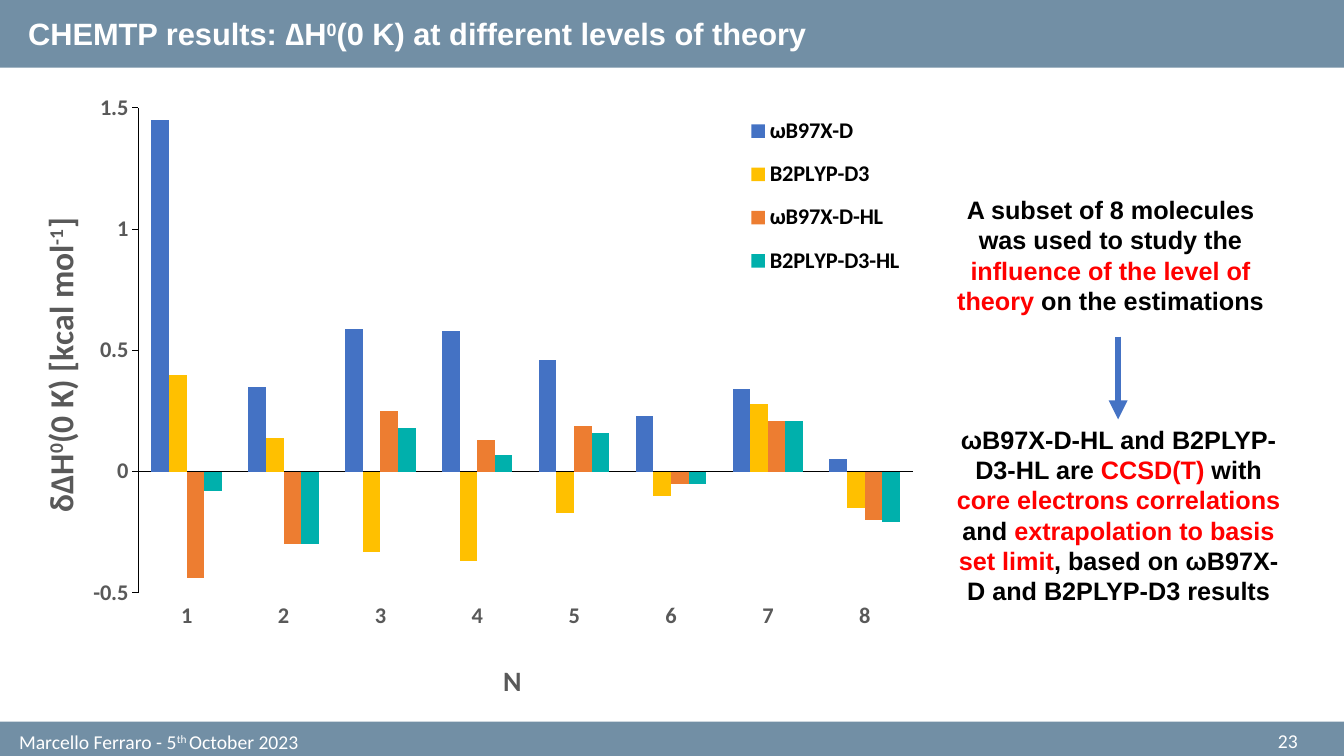
"""Builds the slide on CHEMTP enthalpies at different levels of theory."""
from dataclasses import dataclass

from lxml.etree import SubElement
from pptx import Presentation
from pptx.chart.axis import CategoryAxis, ValueAxis
from pptx.chart.data import CategoryChartData
from pptx.dml.color import RGBColor
from pptx.enum.chart import XL_CHART_TYPE, XL_LEGEND_POSITION, XL_TICK_LABEL_POSITION, XL_TICK_MARK
from pptx.enum.shapes import MSO_CONNECTOR, MSO_SHAPE
from pptx.enum.text import MSO_ANCHOR, MSO_AUTO_SIZE, PP_ALIGN
from pptx.oxml import parse_xml
from pptx.oxml.ns import nsdecls, qn
from pptx.slide import Slide
from pptx.text.text import Font, TextFrame
from pptx.util import Inches, Pt

COLORS = {
    "band": "728FA5", "white": "FFFFFF", "black": "000000", "red": "FF0000",
    "gray": "595959", "blue": "4472C4", "yellow": "FFC000", "orange": "ED7D31", "teal": "00B0AC",
}


@dataclass(frozen=True)
class Piece:
    """A stretch of text with its colour and baseline."""
    text: str
    color: str = "black"
    superscript: bool = False


@dataclass(frozen=True)
class Style:
    """The look shared by the pieces of one text."""
    size: float
    font: str = "Arial"
    bold: bool = True
    align: PP_ALIGN = PP_ALIGN.LEFT
    anchor: MSO_ANCHOR = MSO_ANCHOR.TOP


@dataclass(frozen=True)
class Label:
    """A text box with its place in inches."""
    box: tuple[float, float, float, float]
    style: Style
    pieces: tuple[Piece, ...]


@dataclass(frozen=True)
class Level:
    """A level of theory and its deviations for the molecules."""
    name: str
    color: str
    deviations: tuple[float, ...]


FOOTER = Style(14, "Calibri", False, anchor=MSO_ANCHOR.MIDDLE)
PAGE = Style(14, "Calibri", False, PP_ALIGN.RIGHT, MSO_ANCHOR.MIDDLE)
NOTE = Style(18, align=PP_ALIGN.CENTER)
BANDS = ((0, 7.16, 13.33, 0.35), (0, -0.01, 13.33, 0.68))
HEADING = Label((0.18, 0.1, 13.04, 0.48), Style(22), (
    Piece("CHEMTP results: ∆H", "white"),
    Piece("0", "white", True),
    Piece("(0 K) at different levels of theory", "white"),
))
LABELS = (
    Label((8.97, 7.15, 4, 0.4), PAGE, (Piece("23", "white"),)),
    Label((0.09, 7.15, 4.11, 0.42), FOOTER, (
        Piece("Marcello Ferraro - 5", "white"),
        Piece("th ", "white", True),
        Piece("October 2023", "white"),
    )),
    Label((9.25, 1.88, 3.53, 1.31), NOTE, (
        Piece("A subset of 8 molecules was used to study the "),
        Piece("influence of the level of theory ", "red"),
        Piece("on the estimations"),
    )),
    Label((9.33, 4.16, 3.53, 1.92), NOTE, (
        Piece("ωB97X-D-HL and B2PLYP-D3-HL are "),
        Piece("CCSD(T)", "red"),
        Piece(" with "),
        Piece("core electrons correlations ", "red"),
        Piece("and "),
        Piece("extrapolation to basis set limit", "red"),
        Piece(", based on ωB97X-D and B2PLYP-D3 results"),
    )),
)
LEVELS = (
    Level("ωB97X-D", "blue", (1.45, 0.35, 0.59, 0.58, 0.46, 0.23, 0.34, 0.05)),
    Level("B2PLYP-D3", "yellow", (0.4, 0.14, -0.33, -0.37, -0.17, -0.1, 0.28, -0.15)),
    Level("ωB97X-D-HL", "orange", (-0.44, -0.3, 0.25, 0.13, 0.19, -0.05, 0.21, -0.2)),
    Level("B2PLYP-D3-HL", "teal", (-0.08, -0.3, 0.18, 0.07, 0.16, -0.05, 0.21, -0.21)),
)
MOLECULE_TITLE = (Piece("N", "gray"),)
DEVIATION_TITLE = (
    Piece("δ∆H", "gray"), Piece("0", "gray", True),
    Piece("(0 K) [kcal mol", "gray"), Piece("-1", "gray", True), Piece("]", "gray"),
)


def rgb(name: str) -> RGBColor:
    """Return a named colour."""
    return RGBColor.from_string(COLORS[name])


def format_font(font: Font, style: Style, color: str) -> None:
    """Apply a style and colour to a font."""
    font.name, font.size, font.bold = style.font, Pt(style.size), style.bold
    font.color.rgb = rgb(color)


def write(frame: TextFrame, pieces: tuple[Piece, ...], style: Style) -> None:
    """Write formatted pieces into the first paragraph."""
    paragraph = frame.paragraphs[0]
    paragraph.alignment = style.align
    for piece in pieces:
        run = paragraph.add_run()
        run.text = piece.text
        format_font(run.font, style, piece.color)
        if piece.superscript:
            run.font._element.set("baseline", "30000")


def place(shape, box: tuple[float, float, float, float]) -> None:
    """Set the position and size of a shape."""
    shape.left, shape.top, shape.width, shape.height = map(Inches, box)


def fill_label(shape, label: Label) -> None:
    """Place a text shape and write its label."""
    place(shape, label.box)
    frame = shape.text_frame
    frame.word_wrap = True
    frame.auto_size = MSO_AUTO_SIZE.NONE
    frame.vertical_anchor = label.style.anchor
    write(frame, label.pieces, label.style)


def add_band(slide: Slide, box: tuple[float, float, float, float]) -> None:
    """Add a coloured band behind the text."""
    band = slide.shapes.add_shape(MSO_SHAPE.RECTANGLE, *map(Inches, box))
    band.shadow.inherit = False
    band.fill.solid()
    band.fill.fore_color.rgb = rgb("band")
    band.line.fill.background()
    slide.shapes._spTree.insert(2, band._element)


def set_layout(part, **fractions: float) -> None:
    """Place a chart part by fractions of the chart area."""
    for former in part.findall(qn("c:layout")):
        part.remove(former)
    target = '<c:layoutTarget val="inner"/>' if part.tag == qn("c:plotArea") else ""
    modes = "".join(f'<c:{key}Mode val="edge"/>' for key in fractions if key in "xy")
    values = "".join(f'<c:{key} val="{value}"/>' for key, value in fractions.items())
    layout = parse_xml(f'<c:layout {nsdecls("c")}><c:manualLayout>{target}{modes}{values}</c:manualLayout></c:layout>')
    overlay = part.find(qn("c:overlay"))
    part.insert(0 if overlay is None else part.index(overlay), layout)


def format_axis(axis: CategoryAxis | ValueAxis, pieces: tuple[Piece, ...], size: float, x: float, y: float) -> None:
    """Format an axis and its title."""
    axis.has_major_gridlines = False
    axis.format.line.color.rgb = rgb("black")
    axis.format.line.width = Pt(0.75)
    format_font(axis.tick_labels.font, Style(16, "Calibri"), "gray")
    write(axis.axis_title.text_frame, pieces, Style(size, "Calibri", align=PP_ALIGN.CENTER))
    set_layout(axis.axis_title._element, x=x, y=y)


def add_deviation_chart(slide: Slide) -> None:
    """Add the column chart of deviations per molecule."""
    data = CategoryChartData()
    data.categories = [str(number) for number in range(1, 9)]
    for level in LEVELS:
        data.add_series(level.name, level.deviations)
    box = map(Inches, (0.09, 0.82, 9.15, 6.25))
    chart = slide.shapes.add_chart(XL_CHART_TYPE.COLUMN_CLUSTERED, *box, data).chart
    chart.has_title = False
    format_font(chart.font, Style(10, "Calibri", False), "black")
    columns = chart.plots[0]
    columns.gap_width, columns.overlap, columns.vary_by_categories = 150, 0, False
    for series, level in zip(columns.series, LEVELS):
        series.invert_if_negative = False
        series.format.fill.solid()
        series.format.fill.fore_color.rgb = rgb(level.color)
    molecules, deviations = chart.category_axis, chart.value_axis
    format_axis(molecules, MOLECULE_TITLE, 20, 0.53, 0.91)
    format_axis(deviations, DEVIATION_TITLE, 24, 0.03, 0.21)
    deviations.axis_title.text_frame._txBody.bodyPr.set("rot", "-5400000")
    molecules.tick_label_position = XL_TICK_LABEL_POSITION.LOW
    molecules.major_tick_mark = XL_TICK_MARK.NONE
    deviations.major_tick_mark = XL_TICK_MARK.OUTSIDE
    deviations.minimum_scale, deviations.maximum_scale, deviations.major_unit = -0.5, 1.5, 0.5
    deviations.tick_labels.number_format = "General"
    deviations.tick_labels.number_format_is_linked = False
    chart.has_legend = True
    chart.legend.position = XL_LEGEND_POSITION.RIGHT
    chart.legend.include_in_layout = True
    format_font(chart.legend.font, Style(16, "Calibri"), "black")
    set_layout(chart.legend._element, x=0.8, y=0.03, w=0.17, h=0.3)
    set_layout(chart._chartSpace.chart.plotArea, x=0.14, y=0.04, w=0.84, h=0.77)


def add_arrow(slide: Slide) -> None:
    """Add the arrow between the two notes."""
    arrow = slide.shapes.add_connector(MSO_CONNECTOR.STRAIGHT, *map(Inches, (11.09, 3.34, 11.09, 4.16)))
    arrow.line.color.rgb = rgb("blue")
    arrow.line.width = Pt(4.5)
    SubElement(arrow.line._get_or_add_ln(), qn("a:tailEnd"), type="triangle")
    SubElement(arrow._element.spPr, qn("a:effectLst"))


def main() -> None:
    """Build and save the slide."""
    deck = Presentation()
    deck.slide_width, deck.slide_height = Inches(13.33), Inches(7.5)
    slide = deck.slides.add_slide(deck.slide_layouts[5])
    for band in BANDS:
        add_band(slide, band)
    fill_label(slide.shapes.title, HEADING)
    add_deviation_chart(slide)
    for label in LABELS:
        fill_label(slide.shapes.add_textbox(*map(Inches, label.box)), label)
    add_arrow(slide)
    deck.save("out.pptx")


if __name__ == "__main__":
    main()
